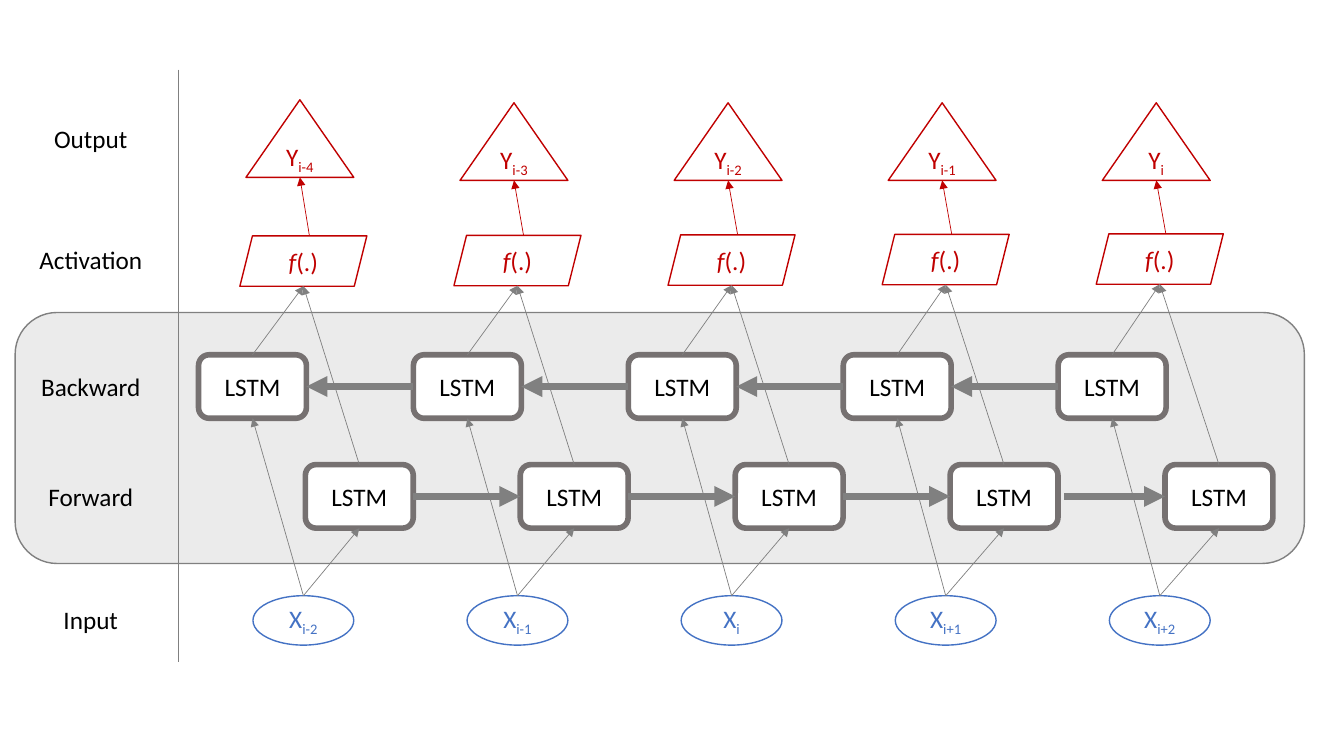
from itertools import pairwise
from lxml.etree import SubElement
from pptx import Presentation
from pptx.dml.color import RGBColor as Rgb
from pptx.enum.shapes import MSO_CONNECTOR as Link, MSO_SHAPE as Kind
from pptx.enum.text import MSO_ANCHOR as Anchor, MSO_AUTO_SIZE as Auto, PP_ALIGN as Align
from pptx.oxml.ns import qn
from pptx.util import Inches, Pt

# All lengths are columns and rows of a grid with square cells.
CELL = Inches(0.1)
WIDE, HIGH = 133.33, 75
COLS = 5
PITCH = 21.24   # between columns of the network
DRIFT = 0.08    # extra pitch of the LSTM cells

HUES = {"ink": "000000", "paper": "FFFFFF", "panel": "A6A6A6", "gray": "808080",
        "cell": "767171", "red": "C00000", "blue": "4472C4"}
FONT = {"name": "Calibri", "size": Pt(18)}
FRAME = {"word_wrap": False, "vertical_anchor": Anchor.MIDDLE}
NOTE = {"word_wrap": True, "auto_size": Auto.SHAPE_TO_FIT_TEXT}
SUB = "sub"
SLANT = "slant"

# Places are relative to a column's box: left, top, width, height.
NODES = {
    "input": (Kind.OVAL, (5.4, 49.2, 10, 4.9), "blue", "blue", 1),
    "forward": (Kind.ROUNDED_RECTANGLE, (10.6, 36.2, 10.7, 6.3), "cell", "ink", 4),
    "backward": (Kind.ROUNDED_RECTANGLE, (0, 25.3, 10.7, 6.3), "cell", "ink", 4),
    "active": (Kind.PARALLELOGRAM, (4.1, 13.5, 12.6, 5), "red", "red", 1),
    "output": (Kind.ISOSCELES_TRIANGLE, (4.7, 0.3, 10.7, 7.7), "red", "red", 1),
}
FLOWS = [("input", "backward"), ("input", "forward"), ("forward", "active"),
         ("backward", "active"), ("active", "output")]
INPUTS = ["i-2", "i-1", "i", "i+1", "i+2"]
OUTPUTS = ["i-4", "i-3", "i-2", "i-1", "i"]
LABELS = {"Output": 4.8, "Activation": 16.8, "Backward": 29.4,
          "Forward": 40.4, "Input": 52.6}


def hue(name):
    """Look up a colour by name."""
    return Rgb.from_string(HUES[name])


def style(item, values):
    """Set each attribute of item from a dict."""
    for key, value in values.items():
        setattr(item, key, value)


def scale(*cells):
    """Turn grid cells into slide lengths."""
    return [round(n * CELL) for n in cells]


def write(frame, runs, tone, form):
    """Fill a text frame with centred runs of (text, mark)."""
    style(frame, form)
    para = frame.paragraphs[0]
    para.alignment = Align.CENTER
    for text, mark in runs:
        run = para.add_run()
        run.text = text
        style(run.font, FONT | {"italic": mark == SLANT})
        run.font.color.rgb = hue(tone)
        if mark == SUB:
            run.font._element.set("baseline", "-25000")


def block(slide, kind, box, fill, edge, width):
    """Add a preset shape with a flat fill and an outline."""
    shape = slide.shapes.add_shape(kind, *scale(*box))
    shape.shadow.inherit = False
    shape.fill.solid()
    shape.fill.fore_color.rgb = hue(fill)
    shape.line.color.rgb = hue(edge)
    shape.line.width = Pt(width)
    return shape


def line(slide, start, end, tone="gray", width=0.5, head=True):
    """Draw a straight line, with an arrowhead at its end if asked."""
    link = slide.shapes.add_connector(Link.STRAIGHT, *scale(*start, *end))
    link.line.color.rgb = hue(tone)
    link.line.width = Pt(width)
    if head:
        SubElement(link.line._get_or_add_ln(), qn("a:tailEnd"), type="triangle")
    SubElement(link._element.spPr, qn("a:effectLst"))


def panel(slide, box):
    """Draw the translucent band behind both LSTM layers."""
    shape = block(slide, Kind.ROUNDED_RECTANGLE, box, "panel", "gray", 1)
    tint = shape._element.spPr.find(".//" + qn("a:srgbClr"))
    SubElement(tint, qn("a:alpha"), val="22000")


def labels(slide, box):
    """Name the layers and rule them off on the right."""
    left, top, width, high = box
    for text, row in LABELS.items():
        note = slide.shapes.add_textbox(*scale(left, top + row, width - 2.1, 4))
        write(note.text_frame, [(text, None)], "ink", NOTE)
    edge = left + width
    line(slide, (edge, top), (edge, top + high), head=False)


def column(slide, box, num):
    """Draw one time step and return the boxes of its nodes."""
    left, top = box[:2]
    texts = {"input": [("X", None), (INPUTS[num], SUB)],
             "forward": [("LSTM", None)], "backward": [("LSTM", None)],
             "active": [("f", SLANT), ("(.)", None)],
             "output": [("Y", None), (OUTPUTS[num], SUB)]}
    shift = {"forward": (DRIFT * num, 0), "backward": (DRIFT * num, 0),
             "active": (0, -0.05 * num), "output": (0, 0 if num else -0.3)}
    spots = {}
    for name, (kind, place, edge, tone, width) in NODES.items():
        right, down = shift.get(name, (0, 0))
        x, y, wide, high = place
        spots[name] = left + x + right, top + y + down, wide, high
        shape = block(slide, kind, spots[name], "paper", edge, width)
        write(shape.text_frame, texts[name], tone, FRAME)
    for source, target in FLOWS:
        x, y, wide, _ = spots[source]
        lean = 0.6 if source == "active" else 0
        tox, toy, towide, tohigh = spots[target]
        line(slide, (x + wide / 2 + lean, y), (tox + towide / 2, toy + tohigh),
             "red" if target == "output" else "gray")
    return spots


def chain(slide, steps):
    """Join neighbouring cells: forward to the right, backward to the left."""
    for num, (here, after) in enumerate(pairwise(steps)):
        gap = 0.6 if num == COLS - 2 else 0
        for name in ("forward", "backward"):
            x, y, wide, high = here[name]
            mid = y + high / 2
            near, far = (x + wide, mid), (after[name][0], mid)
            if name == "forward":
                line(slide, (near[0] + gap, mid), far, width=5)
            else:
                line(slide, far, near, width=5)


def network(slide, box):
    """Set the time steps side by side and chain them."""
    left, top, _, high = box
    steps = [column(slide, (left + PITCH * num, top, PITCH, high), num)
             for num in range(COLS)]
    chain(slide, steps)


def main():
    """Build the slide and save it."""
    deck = Presentation()
    deck.slide_width, deck.slide_height = scale(WIDE, HIGH)
    slide = deck.slides.add_slide(deck.slide_layouts[6])
    panel(slide, (1.5, 31, 127.9, 24.9))
    network(slide, (19.7, 9.9, 106.6, 54.1))
    labels(slide, (2.4, 6.9, 15.3, 58.8))
    deck.save("out.pptx")


main()
